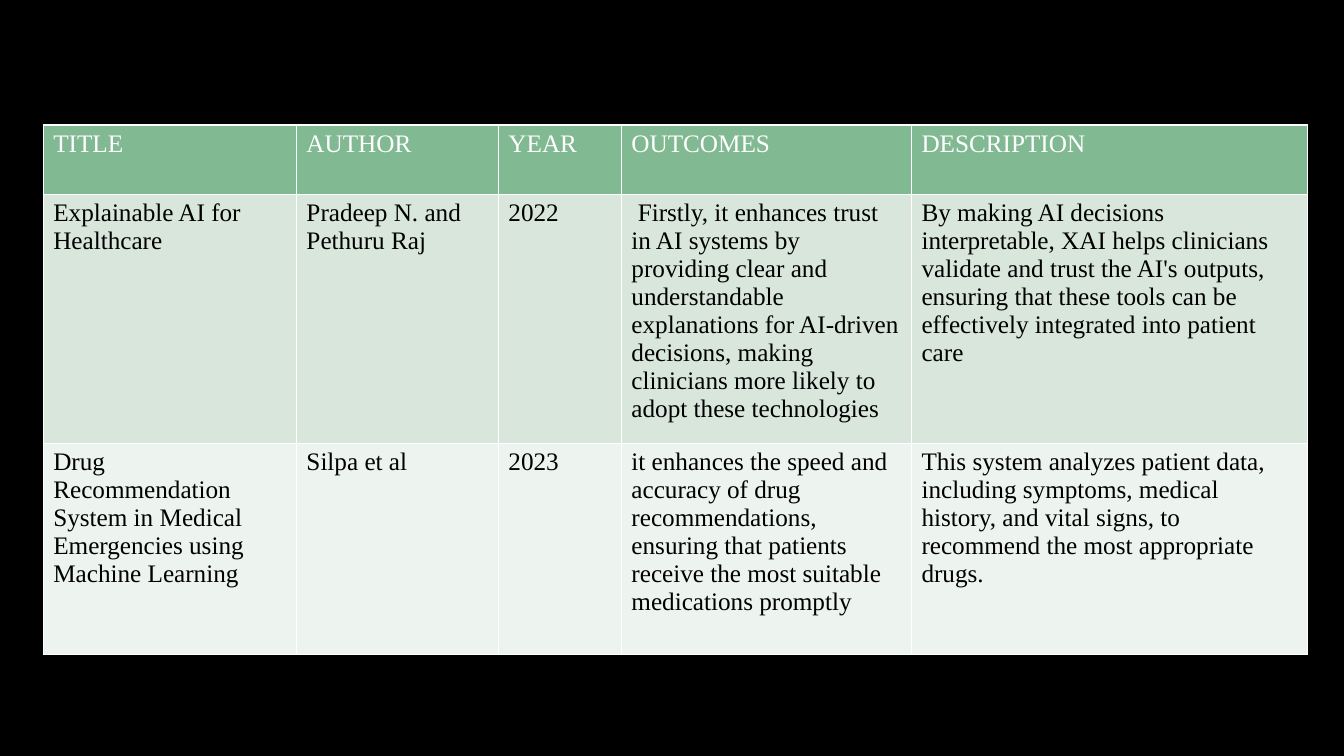
from lxml import etree
from pptx import Presentation
from pptx.dml.color import RGBColor
from pptx.oxml.ns import qn
from pptx.util import Cm, Pt

BLACK = RGBColor(0x00, 0x00, 0x00)
WHITE = RGBColor(0xFF, 0xFF, 0xFF)
HEADER_GREEN = RGBColor(0x81, 0xB9, 0x92)
BAND_GREEN = RGBColor(0xD8, 0xE6, 0xDC)
PALE_GREEN = RGBColor(0xED, 0xF3, 0xEE)

FONT_NAME = "Times New Roman"
FONT_SIZE = Pt(18)
BORDER_WIDTH = Pt(1)
BORDER_TAGS = ("a:lnL", "a:lnR", "a:lnT", "a:lnB")

COLUMN_WIDTHS = (6.38, 5.09, 3.1, 7.31, 9.97)
ROW_HEIGHTS = (1.75, 6.27, 5.33)
ROW_FILLS = (HEADER_GREEN, BAND_GREEN, PALE_GREEN)
ROW_FONT_COLORS = (WHITE, BLACK, BLACK)

LITERATURE = (
    ("TITLE", "AUTHOR", "YEAR", "OUTCOMES", "DESCRIPTION"),
    (
        "Explainable AI for Healthcare",
        "Pradeep N. and Pethuru Raj",
        "2022",
        " Firstly, it enhances trust in AI systems by providing clear and "
        "understandable explanations for AI-driven decisions, making "
        "clinicians more likely to adopt these technologies",
        "By making AI decisions interpretable, XAI helps clinicians validate "
        "and trust the AI's outputs, ensuring that these tools can be "
        "effectively integrated into patient care",
    ),
    (
        "Drug Recommendation System in Medical Emergencies using Machine Learning",
        "Silpa et al",
        "2023",
        "it enhances the speed and accuracy of drug recommendations, ensuring "
        "that patients receive the most suitable medications promptly",
        "This system analyzes patient data, including symptoms, medical "
        "history, and vital signs, to recommend the most appropriate drugs.",
    ),
)


def set_cell_borders(cell, color, width):
    """Put the four border lines ahead of the fill, as the schema requires."""
    properties = cell._tc.get_or_add_tcPr()
    for position, tag in enumerate(BORDER_TAGS):
        line = etree.Element(qn(tag), w=str(width))
        solid_fill = etree.SubElement(line, qn("a:solidFill"))
        etree.SubElement(solid_fill, qn("a:srgbClr"), val=str(color))
        properties.insert(position, line)


def format_cell(cell, text, fill_color, font_color):
    cell.fill.solid()
    cell.fill.fore_color.rgb = fill_color
    set_cell_borders(cell, WHITE, BORDER_WIDTH)
    cell.text_frame.text = text
    for run in cell.text_frame.paragraphs[0].runs:
        run.font.name = FONT_NAME
        run.font.size = FONT_SIZE
        run.font.bold = False
        run.font.color.rgb = font_color


def add_literature_table(slide, left, top):
    frame = slide.shapes.add_table(
        len(LITERATURE), len(COLUMN_WIDTHS), left, top,
        Cm(sum(COLUMN_WIDTHS)), Cm(sum(ROW_HEIGHTS)),
    )
    table = frame.table
    for column, width in zip(table.columns, COLUMN_WIDTHS):
        column.width = Cm(width)
    rows = zip(table.rows, ROW_HEIGHTS, LITERATURE, ROW_FILLS, ROW_FONT_COLORS)
    for row, height, texts, fill_color, font_color in rows:
        row.height = Cm(height)
        for cell, text in zip(row.cells, texts):
            format_cell(cell, text, fill_color, font_color)


def main():
    presentation = Presentation()
    presentation.slide_width = Cm(33.87)
    presentation.slide_height = Cm(19.05)
    slide = presentation.slides.add_slide(presentation.slide_layouts[6])
    slide.background.fill.solid()
    slide.background.fill.fore_color.rgb = BLACK
    add_literature_table(slide, Cm(1.09), Cm(3.15))
    presentation.save("out.pptx")


if __name__ == "__main__":
    main()
